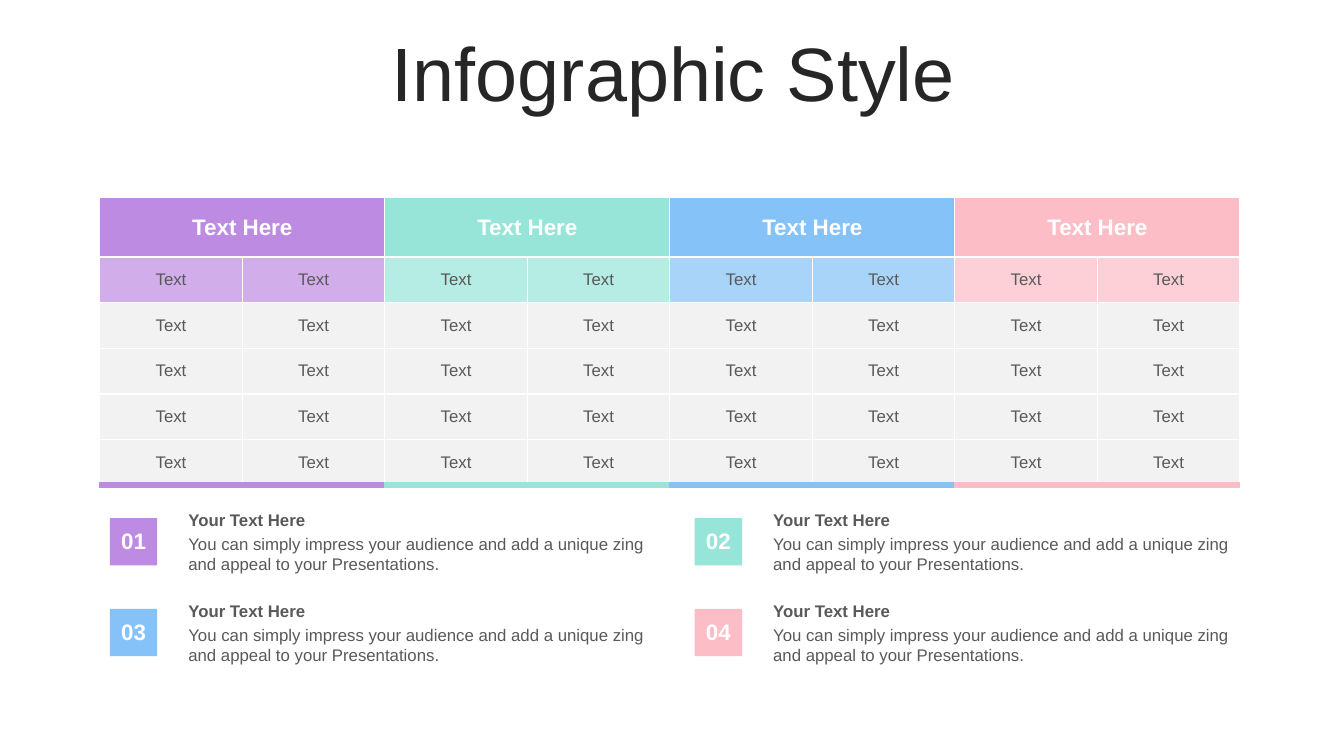
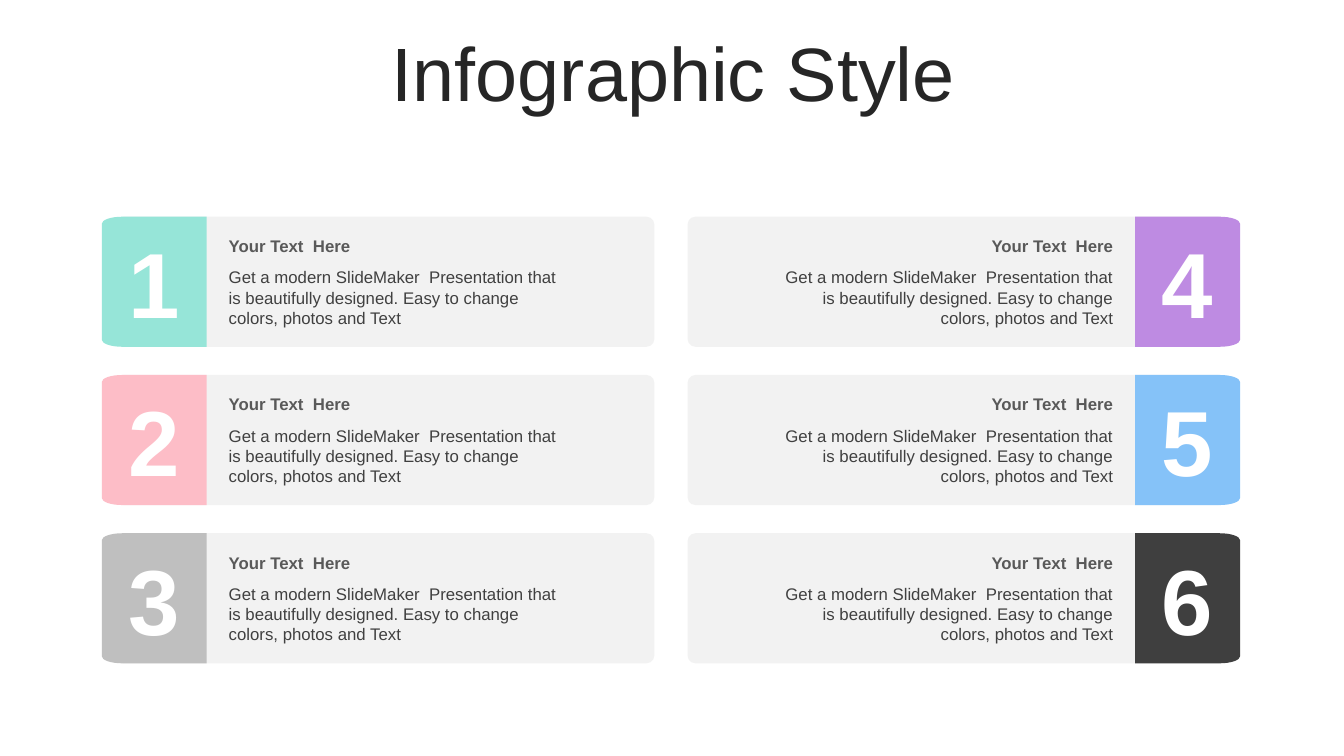
from dataclasses import dataclass

from lxml import etree
from pptx import Presentation
from pptx.dml.color import RGBColor
from pptx.enum.shapes import MSO_SHAPE
from pptx.enum.text import MSO_ANCHOR, MSO_AUTO_SIZE, PP_ALIGN
from pptx.oxml.ns import qn
from pptx.util import Inches, Pt

CENTER, LEFT, RIGHT = PP_ALIGN.CENTER, PP_ALIGN.LEFT, PP_ALIGN.RIGHT
MIDDLE, TOP = MSO_ANCHOR.MIDDLE, MSO_ANCHOR.TOP
NO_FIT = MSO_AUTO_SIZE.NONE
RECTANGLE, ROUNDED = MSO_SHAPE.RECTANGLE, MSO_SHAPE.ROUNDED_RECTANGLE
TITLE_ONLY = 5
ARC_RATIO = 0.55


@dataclass(frozen=True)
class Theme:
    """Colours, font and type sizes of the deck."""
    font: str = "Arial"
    purple: str = "BE8BE2"
    mint: str = "96E5D8"
    blue: str = "85C2F8"
    pink: str = "FDBDC7"
    silver: str = "BFBFBF"
    charcoal: str = "3F3F3F"
    panel: str = "F2F2F2"
    white: str = "FFFFFF"
    title_ink: str = "262626"
    ink: str = "595959"
    dark_ink: str = "404040"
    title_size: int = 54
    digit_size: int = 66
    label_size: int = 16
    body_size: int = 12


THEME = Theme()
TITLE_FORMAT = {"size": THEME.title_size, "color": THEME.title_ink, "bold": False}
DIGIT_FORMAT = {"size": THEME.digit_size, "color": THEME.white, "bold": True}
LABEL_FORMAT = {"size": THEME.label_size, "color": THEME.white, "bold": True}
HEADING_FORMAT = {"size": THEME.body_size, "color": THEME.ink, "bold": True}
BODY_FORMAT = {**HEADING_FORMAT, "bold": False}
CARD_BODY_FORMAT = {**BODY_FORMAT, "color": THEME.dark_ink}

TITLE = "Infographic Style"
GROUP_COLORS = (THEME.purple, THEME.mint, THEME.blue, THEME.pink)
GROUP_HEADING = "Text Here"
CELL_TEXT = "Text"
HEADER_HEIGHT, ROW_HEIGHT, ROW_COUNT = 0.59, 0.453, 6
NOTE_HEADING = "Your Text Here"
NOTE_BODY = ("You can simply impress your audience and add a unique zing "
             "and appeal to your Presentations.")
CARD_COLORS = (THEME.mint, THEME.pink, THEME.silver,
               THEME.purple, THEME.blue, THEME.charcoal)
CARD_HEADING = "Your Text  Here"
CARD_BODY = ("Get a modern SlideMaker  Presentation that is beautifully "
             "designed. Easy to change colors, photos and Text")


def set_text(paragraph, text, formats, align=LEFT, gap=0):
    """Fill a paragraph and format its font."""
    paragraph.text = text
    paragraph.alignment = align
    paragraph.space_before = Pt(gap)
    font = paragraph.font
    font.color.rgb = RGBColor.from_string(formats["color"])
    values = {"name": THEME.font, "size": Pt(formats["size"]), "bold": formats["bold"]}
    for name, value in values.items():
        setattr(font, name, value)


def set_frame(frame, **settings):
    """Give a text frame fixed size, wrapping and any further settings."""
    values = {"word_wrap": True, "auto_size": NO_FIT, "vertical_anchor": TOP, **settings}
    for name, value in values.items():
        setattr(frame, name, value)


def paint(shape, color):
    """Give a shape a flat fill without outline or shadow."""
    shape.shadow.inherit = False
    shape.fill.solid()
    shape.fill.fore_color.rgb = RGBColor.from_string(color)
    shape.line.fill.background()


def add_titled_slide(deck):
    """Add a slide with the shared title."""
    slide = deck.slides.add_slide(deck.slide_layouts[TITLE_ONLY])
    title = slide.shapes.title
    box = {"left": 0.35, "top": 0.34, "width": 12.66, "height": 0.85}
    for name, value in box.items():
        setattr(title, name, Inches(value))
    set_frame(title.text_frame, vertical_anchor=MIDDLE, margin_top=0, margin_bottom=0)
    paragraph = title.text_frame.paragraphs[0]
    set_text(paragraph, TITLE, TITLE_FORMAT, CENTER)
    paragraph.line_spacing = 0.9
    return slide


def add_copy(slide, box, heading, body, body_format, align, gap):
    """Place a bold heading above its body text."""
    frame = slide.shapes.add_textbox(*map(Inches, box)).text_frame
    set_frame(frame)
    set_text(frame.paragraphs[0], heading, HEADING_FORMAT, align)
    set_text(frame.add_paragraph(), body, body_format, align, gap)


def style_cell(cell, text, formats, color, bottom=(THEME.white, 1), opacity=None):
    """Set the text, fill and borders of a table cell."""
    cell.vertical_anchor = MIDDLE
    set_text(cell.text_frame.paragraphs[0], text, formats, CENTER)
    cell.fill.solid()
    cell.fill.fore_color.rgb = RGBColor.from_string(color)
    properties = cell._tc.get_or_add_tcPr()
    if opacity:
        fill_color = properties.find(qn("a:solidFill")).find(qn("a:srgbClr"))
        etree.SubElement(fill_color, qn("a:alpha"), val=str(opacity * 1000))
    white = (THEME.white, 1)
    borders = {"a:lnL": white, "a:lnR": white, "a:lnT": white, "a:lnB": bottom}
    for index, (tag, (line_color, width)) in enumerate(borders.items()):
        border = etree.Element(qn(tag), w=str(Pt(width)))
        fill = etree.SubElement(border, qn("a:solidFill"))
        etree.SubElement(fill, qn("a:srgbClr"), val=line_color)
        properties.insert(index, border)


def add_group_table(slide, left, top, width):
    """Place the table of four coloured groups, two columns each."""
    columns = 2 * len(GROUP_COLORS)
    height = HEADER_HEIGHT + ROW_HEIGHT * (ROW_COUNT - 1)
    table = slide.shapes.add_table(
        ROW_COUNT, columns, *map(Inches, (left, top, width, height))).table
    table.first_row = table.horz_banding = False
    for column in table.columns:
        column.width = Inches(width / columns)
    for index, row in enumerate(table.rows):
        row.height = Inches(ROW_HEIGHT if index else HEADER_HEIGHT)
    for column in range(columns):
        color = GROUP_COLORS[column // 2]
        if column % 2 == 0:
            table.cell(0, column).merge(table.cell(0, column + 1))
            style_cell(table.cell(0, column), GROUP_HEADING, LABEL_FORMAT, color)
        style_cell(table.cell(1, column), CELL_TEXT, BODY_FORMAT, color, opacity=70)
        for row in range(2, ROW_COUNT):
            bottom = (color, 4.5) if row == ROW_COUNT - 1 else (THEME.white, 1)
            style_cell(table.cell(row, column), CELL_TEXT, BODY_FORMAT, THEME.panel, bottom)


def add_note(slide, left, top, number, color):
    """Place a numbered square with its note."""
    badge = slide.shapes.add_shape(
        RECTANGLE, *map(Inches, (left, top + 0.13, 0.47, 0.47)))
    paint(badge, color)
    set_frame(badge.text_frame, vertical_anchor=MIDDLE, margin_left=0, margin_right=0,
              margin_top=0, margin_bottom=Inches(0.02))
    set_text(badge.text_frame.paragraphs[0], f"{number:02}", LABEL_FORMAT, CENTER)
    add_copy(slide, (left + 0.68, top, 4.74, 0.73), NOTE_HEADING, NOTE_BODY,
             BODY_FORMAT, LEFT, 2.5)


def round_corner(segment, start, end):
    """Turn a straight segment into a quarter ellipse around its outer corner."""
    corner = (min if start[0] == 0 or end[0] == 0 else max)(start[0], end[0]), \
        min(start[1], end[1]) if min(start[1], end[1]) == 0 else max(start[1], end[1])
    controls = [tuple(round(value + ARC_RATIO * (goal - value))
                      for value, goal in zip(point, corner)) for point in (start, end)]
    curve = etree.Element(qn("a:cubicBezTo"))
    for x, y in (*controls, end):
        etree.SubElement(curve, qn("a:pt"), x=str(x), y=str(y))
    segment.getparent().replace(segment, curve)


def add_tab(slide, left, top, width, height, mirrored, number, color):
    """Place a numbered tab whose outer corners are rounded."""
    radius_x, radius_y = 0.2, 0.07
    outline = [(0, height - radius_y), (0, radius_y), (radius_x, 0),
               (width, 0), (width, height), (radius_x, height)]
    points = [(Inches(left + (width - x if mirrored else x)), Inches(top + y))
              for x, y in outline]
    builder = slide.shapes.build_freeform(*points[0])
    builder.add_line_segments(points[1:] + points[:1], close=True)
    tab = builder.convert_to_shape()
    origin_x = min(x for x, _ in points)
    origin_y = min(y for _, y in points)
    local = [(x - origin_x, y - origin_y) for x, y in points]
    segments = list(tab._element.iter(qn("a:lnTo")))
    round_corner(segments[1], local[1], local[2])
    round_corner(segments[5], local[5], local[0])
    paint(tab, color)
    set_frame(tab.text_frame, vertical_anchor=MIDDLE, margin_left=0, margin_right=0,
              margin_top=0, margin_bottom=0)
    set_text(tab.text_frame.paragraphs[0], str(number), DIGIT_FORMAT, CENTER)


def add_card(slide, left, top, mirrored, number, color):
    """Place a text card with its tab on the outer side."""
    width, height, tab_width, copy_width = 5.48, 1.29, 1.04, 3.51

    def place(offset, part_width):
        """Measure a part's offset from the outer edge."""
        return left + (width - offset - part_width if mirrored else offset)

    panel_width = width - 0.14
    panel = slide.shapes.add_shape(
        ROUNDED, *map(Inches, (place(0.14, panel_width), top, panel_width, height)))
    panel.adjustments[0] = 0.06
    paint(panel, THEME.panel)
    add_tab(slide, place(0, tab_width), top, tab_width, height, mirrored, number, color)
    add_copy(slide, (place(1.16, copy_width), top + 0.14, copy_width, 1), CARD_HEADING,
             CARD_BODY, CARD_BODY_FORMAT, RIGHT if mirrored else LEFT, 8)


def build_table_slide(deck):
    """Build the slide with the table and four notes."""
    slide = add_titled_slide(deck)
    add_group_table(slide, 0.99, 1.96, 11.31)
    for index, color in enumerate(GROUP_COLORS):
        row, column = divmod(index, 2)
        add_note(slide, 1.09 + 5.8 * column, 5.01 + 0.9 * row, index + 1, color)


def build_card_slide(deck):
    """Build the slide with two columns of three cards."""
    slide = add_titled_slide(deck)
    for index, color in enumerate(CARD_COLORS):
        column, row = divmod(index, 3)
        add_card(slide, 1.01 + 5.81 * column, 2.15 + 1.57 * row, column == 1,
                 index + 1, color)


def main():
    """Build and save the deck."""
    deck = Presentation()
    deck.slide_width, deck.slide_height = Inches(13.33), Inches(7.5)
    build_table_slide(deck)
    build_card_slide(deck)
    deck.save("out.pptx")


if __name__ == "__main__":
    main()
